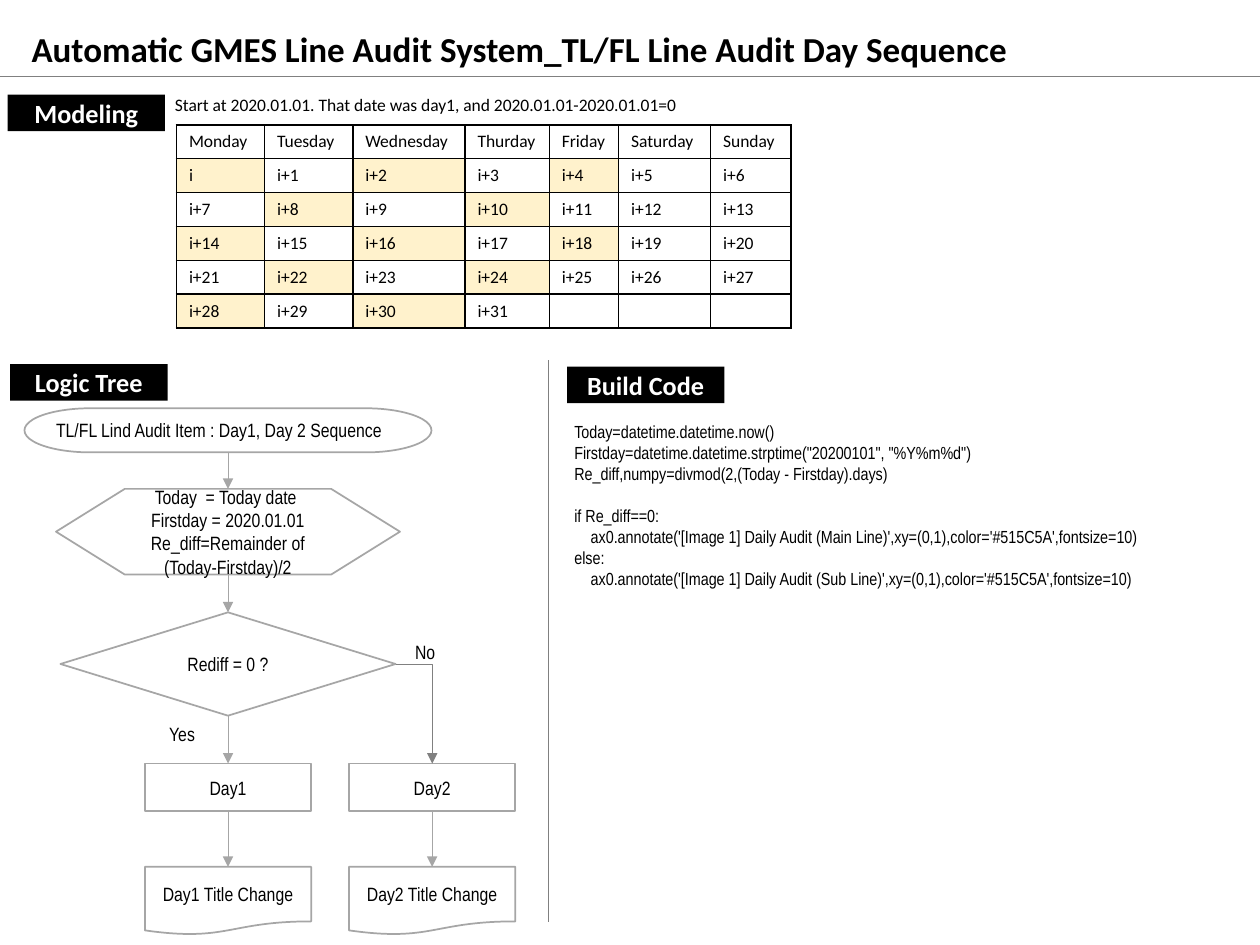
"""Build the line audit day sequence slide."""
from lxml import etree
from pptx import Presentation
from pptx import util as u
from pptx.dml.color import RGBColor
from pptx.enum import shapes, text
from pptx.oxml import parse_xml
from pptx.oxml.ns import nsdecls, qn

BLACK, WHITE, GRAY, SILVER, CREAM = "000000", "FFFFFF", "808080", "A6A6A6", "FFF2CC"
SANS, NARROW = "Calibri", "Arial Narrow"
TOP, RIGHT, BOTTOM = 0, 3, 2
FLOW = shapes.MSO_SHAPE
LEFT, CENTER = text.PP_ALIGN.LEFT, text.PP_ALIGN.CENTER
MIDDLE = text.MSO_ANCHOR.MIDDLE


def color(value):
    """Turn a hex string into a colour."""
    return RGBColor.from_string(value)


def grid(*cells):
    """Turn grid cells, 100 columns by 75 rows, into lengths."""
    return [u.Inches(cell / 10) for cell in cells]


class AuditSlide:
    """Hold the style and the current slide."""

    def __init__(self, deck):
        """Add a title-only slide to the deck."""
        self.page = deck.slides.add_slide(deck.slide_layouts[5])

    def fill_text(self, frame, content, size, font, align=LEFT, anchor=MIDDLE, ink=BLACK,
                  bold=False):
        """Fill a text frame and format its runs."""
        frame.text = content
        frame.word_wrap = True
        frame.vertical_anchor = anchor
        for para in frame.paragraphs:
            para.alignment = align
            for span in para.runs:
                span.font.size, span.font.name, span.font.bold = u.Pt(size), font, bold
                span.font.color.rgb = color(ink)

    def title(self, content, place):
        """Place and format the title."""
        box = self.page.shapes.title
        box.left, box.top, box.width, box.height = grid(*place)
        self.fill_text(box.text_frame, content, 20, SANS, anchor=text.MSO_ANCHOR.BOTTOM, bold=True)
        box.text_frame.auto_size = text.MSO_AUTO_SIZE.NONE

    def label(self, content, place, size, font, align=LEFT, anchor=MIDDLE):
        """Add a text box and return its frame."""
        frame = self.page.shapes.add_textbox(*grid(*place)).text_frame
        self.fill_text(frame, content, size, font, align, anchor)
        return frame

    def code(self, lines, place):
        """Add code given as lines of indent, space before and content."""
        content = "\n".join(line[2] for line in lines)
        frame = self.label(content, place, 10, NARROW, anchor=text.MSO_ANCHOR.TOP)
        for para, (indent, gap, _) in zip(frame.paragraphs, lines):
            para.space_before = u.Pt(gap)
            para._p.get_or_add_pPr().set("marL", str(u.Inches(indent)))

    def badge(self, content, left, top):
        """Add a black section heading."""
        box = self.page.shapes.add_shape(FLOW.RECTANGLE, *grid(left, top, 12.5, 2.9))
        box.shadow.inherit = False
        box.fill.solid()
        box.fill.fore_color.rgb = color(BLACK)
        box.line.fill.background()
        self.fill_text(box.text_frame, content, 15, SANS, CENTER, ink=WHITE, bold=True)

    def step(self, kind, content, center, top, width, height, align=CENTER):
        """Add an outlined flowchart step around a centre column."""
        box = self.page.shapes.add_shape(kind, *grid(center - width / 2, top, width, height))
        box.shadow.inherit = False
        box.fill.background()
        box.line.color.rgb = color(SILVER)
        box.line.width = u.Pt(1)
        self.fill_text(box.text_frame, content, 11, NARROW, align)
        return box

    def line(self, place=(0, 0, 0, 0), ink=GRAY, kind=shapes.MSO_CONNECTOR.STRAIGHT):
        """Add a thin line."""
        rule = self.page.shapes.add_connector(kind, *grid(*place))
        rule.line.color.rgb = color(ink)
        rule.line.width = u.Pt(0.5)
        etree.SubElement(rule._element.spPr, qn("a:effectLst"))
        return rule

    def arrow(self, start, end):
        """Join two steps from bottom to top with an arrow."""
        rule = self.line(ink=SILVER)
        self.join(rule, start, BOTTOM, end)

    def branch(self, start, end):
        """Join the right of a step to the top of another with one bend."""
        rule = self.line(kind=shapes.MSO_CONNECTOR.ELBOW)
        rule._element.spPr.find(qn("a:prstGeom")).set("prst", "bentConnector2")
        self.join(rule, start, RIGHT, end)

    def join(self, rule, start, side, end):
        """Attach both ends of a connector and add its arrowhead."""
        rule.begin_connect(start, side)
        rule.end_connect(end, TOP)
        outline = rule._element.spPr.find(qn("a:ln"))
        etree.SubElement(outline, qn("a:tailEnd"), type="triangle")

    def calendar(self, days, left, top, widths, row_height):
        """Add a bordered month table that marks even weekdays."""
        table = self.page.shapes.add_table(
            6, len(days), *grid(left, top, sum(widths), 6 * row_height)).table
        table.first_row = table.horz_banding = False
        for column, width in zip(table.columns, widths):
            column.width = grid(width)[0]
        for y, row in enumerate(table.rows):
            row.height = grid(row_height)[0]
            for x, cell in enumerate(row.cells):
                number = 7 * (y - 1) + x
                if y == 0:
                    content = days[x]
                else:
                    content = "" if number > 31 else f"i+{number}" if number else "i"
                marked = y > 0 and x < 5 and number % 2 == 0 and number <= 31
                self.cell(cell, content, marked)

    def cell(self, cell, content, marked):
        """Format one table cell."""
        self.fill_text(cell.text_frame, content, 10, SANS)
        cell.vertical_anchor = MIDDLE
        cell.margin_right = u.Inches(0.05)
        cell.text_frame.paragraphs[0]._p.get_or_add_endParaRPr().set("sz", "1000")
        for side in ("lnL", "lnR", "lnT", "lnB"):
            cell._tc.get_or_add_tcPr().append(parse_xml(
                f'<a:{side} {nsdecls("a")} w="12700"><a:solidFill>'
                f'<a:srgbClr val="{BLACK}"/></a:solidFill></a:{side}>'))
        if marked:
            cell.fill.solid()
            cell.fill.fore_color.rgb = color(CREAM)
        else:
            cell.fill.background()


def main():
    """Build and save the deck."""
    deck = Presentation()
    deck.slide_width, deck.slide_height = grid(100, 75)
    slide = AuditSlide(deck)

    slide.title("Automatic GMES Line Audit System_TL/FL Line Audit Day Sequence",
                (1.5, 0.8, 98.5, 5.2))
    slide.line((0, 6.1, 100, 6.1))
    slide.line((43.5, 28.6, 43.5, 73.2))
    for content, left, top in (("Modeling", 0.6, 7.5), ("Logic Tree", 0.8, 28.9),
                               ("Build Code", 45, 29.1)):
        slide.badge(content, left, top)

    slide.label("Start at 2020.01.01. That date was day1, and 2020.01.01-2020.01.01=0",
                (12.9, 6.9, 76.4, 2.8), 10, SANS)
    slide.calendar(("Monday", "Tuesday", "Wednesday", "Thurday", "Friday", "Saturday", "Sunday"),
                   14, 9.9, (7, 7, 8.9, 6.7, 5.5, 7.3, 6.4), 2.69)

    main_center, side_center = 18.1, 34.3
    start = slide.step(FLOW.FLOWCHART_TERMINATOR, "TL/FL Lind Audit Item : Day1, Day 2 Sequence",
                       main_center, 32.4, 32.3, 3.5, LEFT)
    setup = slide.step(FLOW.FLOWCHART_PREPARATION,
                       "Today  = Today date \nFirstday = 2020.01.01\n"
                       "Re_diff=Remainder of (Today-Firstday)/2", main_center, 38.8, 27.3, 6.8)
    check = slide.step(FLOW.FLOWCHART_DECISION, "Rediff = 0 ?", main_center, 48.6, 26.6, 8.2)
    slide.arrow(start, setup)
    slide.arrow(setup, check)
    for day, center, connect in (("Day1", main_center, slide.arrow),
                                 ("Day2", side_center, slide.branch)):
        action = slide.step(FLOW.RECTANGLE, day, center, 60.6, 13.2, 3.8)
        change = slide.step(FLOW.FLOWCHART_DOCUMENT, f"{day} Title Change",
                            center, 68.8, 13.2, 5.4)
        connect(check, action)
        slide.arrow(action, change)
    slide.label("Yes", (11.6, 56.8, 5.7, 2.8), 11, NARROW, CENTER)
    slide.label("No", (30.9, 50.3, 5.7, 2.8), 11, NARROW, CENTER)

    annotate = "ax0.annotate('[Image 1] Daily Audit ({} Line)',xy=(0,1),color='#515C5A',fontsize=10)"
    main_call, sub_call = (annotate.replace("{}", name) for name in ("Main", "Sub"))
    slide.code((
        (0, 0, "Today=datetime.datetime.now()"),
        (0, 0, 'Firstday=datetime.datetime.strptime("20200101", "%Y%m%d")'),
        (0, 0, "Re_diff,numpy=divmod(2,(Today - Firstday).days)"),
        (0, 12, "if Re_diff==0:"),
        (0.13, 0, main_call),
        (0, 0, "else:"),
        (0.13, 0, sub_call),
    ), (44.6, 32.9, 52.2, 14.5))

    deck.save("out.pptx")


if __name__ == "__main__":
    main()
